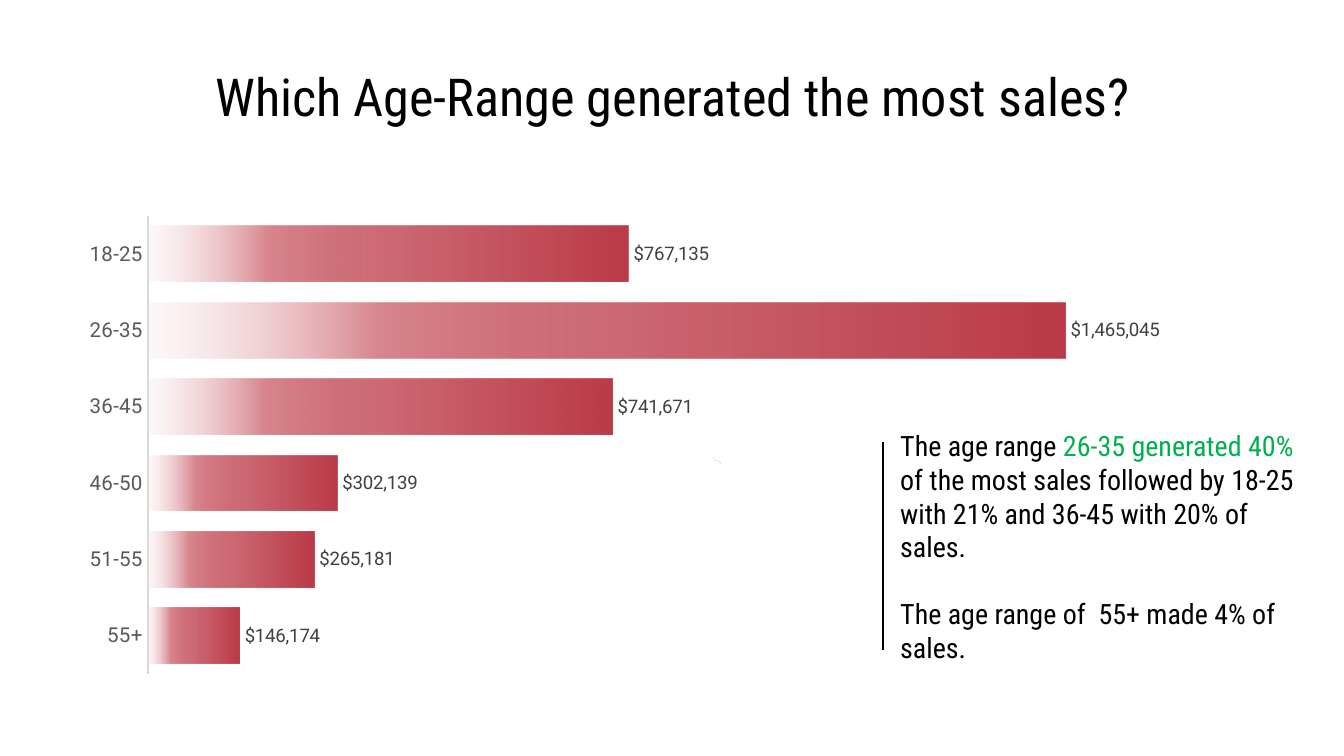
"""Build a slide with a bar chart of sales by age range and a short takeaway."""
from dataclasses import dataclass

from lxml import etree
from pptx import Presentation
from pptx import util as u
from pptx.chart import data as chart_data
from pptx.dml.color import RGBColor
from pptx.enum import chart as charts, shapes, text
from pptx.oxml import parse_xml
from pptx.oxml.ns import nsdecls, qn


@dataclass(frozen=True)
class Theme:
    black: str = "000000"
    highlight: str = "00B050"
    axis_text: str = "595959"
    label_text: str = "404040"
    axis_line: str = "D9D9D9"
    speck: str = "F2AD85"
    bar_stops: tuple = ((0, "BC3B48", 100), (51, "BC3B48", 75),
                        (75, "D9878F", 100), (100, "F2D7DA", 15))
    heading_font: str = "Roboto Condensed"
    chart_font: str = "Roboto"
    title_size: int = 28
    body_size: int = 15
    axis_size: int = 11
    label_size: int = 10


theme = Theme()
PIXEL = 914400 / 134.4


def px(*lengths):
    return [u.Emu(round(length * PIXEL)) for length in lengths]


def style_font(font, name, size, color):
    font.name = name
    font.size = u.Pt(size)
    font.color.rgb = RGBColor.from_string(color)


presentation = Presentation()
presentation.slide_width, presentation.slide_height = px(1344, 756)
slide = presentation.slides.add_slide(presentation.slide_layouts[6])

sales = chart_data.CategoryChartData(number_format='"$"#,##0')
sales.categories = ["18-25", "26-35", "36-45", "46-50", "51-55", "55+"]
sales.add_series("Series 1", [767135, 1465045, 741671, 302139, 265181, 146174])
chart_box = (67, 207, 1105, 477)
plot_box = (148, 216, 1002, 458)
chart = slide.shapes.add_chart(
    charts.XL_CHART_TYPE.BAR_CLUSTERED, *px(*chart_box), sales).chart
chart.has_legend = False
chart.has_title = False
style_font(chart.font, "Arial", theme.label_size, theme.black)

fractions = {
    "x": (plot_box[0] - chart_box[0]) / chart_box[2],
    "y": (plot_box[1] - chart_box[1]) / chart_box[3],
    "w": plot_box[2] / chart_box[2],
    "h": plot_box[3] / chart_box[3],
}
plot_area = chart._chartSpace.find(".//" + qn("c:plotArea"))
for old_layout in plot_area.findall(qn("c:layout")):
    plot_area.remove(old_layout)
layout = parse_xml(
    f'<c:layout {nsdecls("c")}><c:manualLayout><c:layoutTarget val="inner"/>'
    '<c:xMode val="edge"/><c:yMode val="edge"/>'
    + "".join(f'<c:{key} val="{value:.4f}"/>' for key, value in fractions.items())
    + "</c:manualLayout></c:layout>")
plot_area.insert(0, layout)

age_axis = chart.category_axis
age_axis.reverse_order = True
age_axis.has_major_gridlines = False
age_axis.major_tick_mark = charts.XL_TICK_MARK.NONE
age_axis.format.line.color.rgb = RGBColor.from_string(theme.axis_line)
age_axis.format.line.width = u.Pt(1.5)
style_font(age_axis.tick_labels.font, theme.chart_font, theme.axis_size, theme.axis_text)

sales_axis = chart.value_axis
sales_axis.visible = False
sales_axis.has_major_gridlines = False
sales_axis.minimum_scale = 0
sales_axis.maximum_scale = 1600000

plot = chart.plots[0]
plot.gap_width = 37
plot.overlap = -58
plot.vary_by_categories = False
bars = plot.series[0]
bars.invert_if_negative = False
bars.format.fill.gradient()
bars.format.fill.gradient_angle = 180
stops = bars._element.find(".//" + qn("a:gsLst"))
for old_stop in list(stops):
    stops.remove(old_stop)
for position, color, opacity in theme.bar_stops:
    stop = etree.SubElement(stops, qn("a:gs"), pos=str(position * 1000))
    stop_color = etree.SubElement(stop, qn("a:srgbClr"), val=color)
    if opacity < 100:
        etree.SubElement(stop_color, qn("a:alpha"), val=str(opacity * 1000))

labels = bars.data_labels
labels.show_value = True
labels.position = charts.XL_LABEL_POSITION.OUTSIDE_END
labels.number_format = '"$"#,##0'
labels.number_format_is_linked = False
style_font(labels.font, theme.chart_font, theme.label_size, theme.label_text)

text_blocks = [
    ((46, 60, 1253, 71), theme.title_size, text.PP_ALIGN.CENTER,
     [[("Which Age-Range generated the most sales?", theme.black)]]),
    ((887, 456, 433, 181), theme.body_size, text.PP_ALIGN.LEFT,
     [[("The age range ", theme.black),
       ("26-35 generated 40% ", theme.highlight),
       ("of the most sales followed by 18-25 with 21% and 36-45 with 20% of sales.",
        theme.black)],
      [("The age range of  55+ made 4% of sales. ", theme.black)]]),
]
for box, size, alignment, paragraphs in text_blocks:
    frame = slide.shapes.add_textbox(*px(*box)).text_frame
    frame.word_wrap = True
    frame.vertical_anchor = text.MSO_ANCHOR.MIDDLE
    frame.margin_left = frame.margin_right = u.Inches(0.1)
    frame.margin_top = frame.margin_bottom = u.Inches(0.1)
    for index, runs in enumerate(paragraphs):
        paragraph = frame.add_paragraph() if index else frame.paragraphs[0]
        paragraph.alignment = alignment
        if index:
            paragraph.space_before = u.Pt(18)
        for words, color in runs:
            run = paragraph.add_run()
            run.text = words
            style_font(run.font, theme.heading_font, size, color)

for left, top in [(713, 457), (714, 460), (716, 460), (718, 461), (719, 462), (720, 463)]:
    builder = slide.shapes.build_freeform(*px(left, top))
    builder.add_line_segments([px(left + 1, top), px(left + 1, top + 1)], close=True)
    speck = builder.convert_to_shape()
    speck.shadow.inherit = False
    speck.fill.solid()
    speck.fill.fore_color.rgb = RGBColor.from_string(theme.speck)
    speck.line.fill.background()

divider = slide.shapes.add_connector(
    shapes.MSO_CONNECTOR.STRAIGHT, *px(883, 442, 883, 650))
divider.line.color.rgb = RGBColor.from_string(theme.black)
divider.line.width = u.Pt(1.5)
etree.SubElement(divider._element.spPr, qn("a:effectLst"))

presentation.save("out.pptx")
